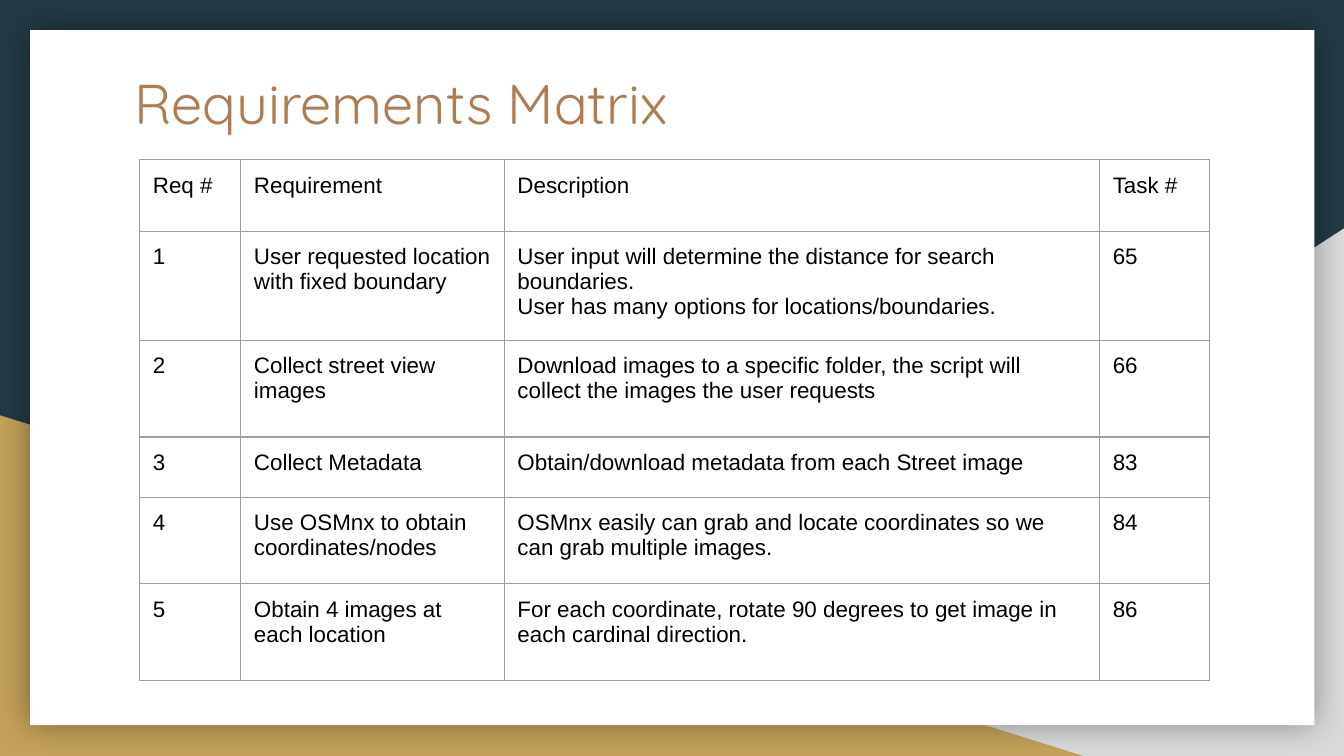
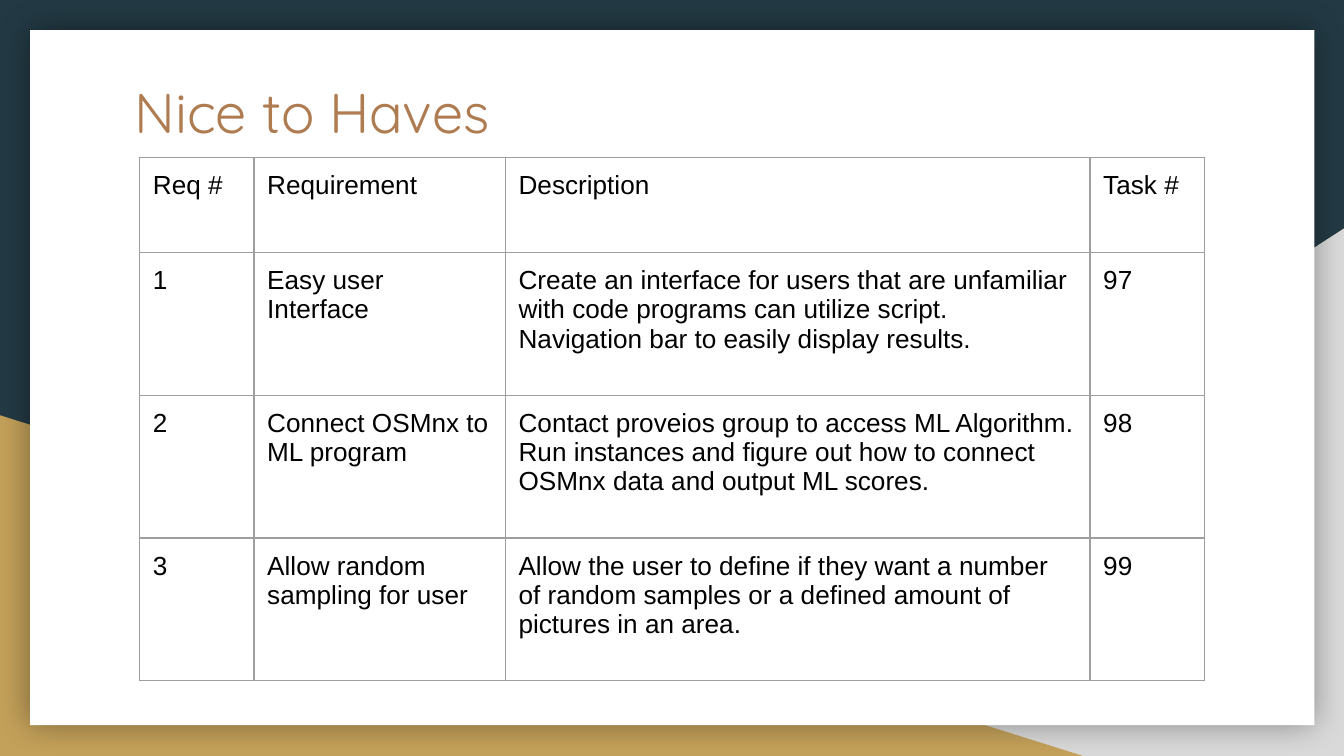
from dataclasses import dataclass
from lxml import etree
from pptx import Presentation
from pptx import util as u
from pptx.dml.color import RGBColor
from pptx.enum import shapes, text
from pptx.oxml.ns import qn


@dataclass(frozen=True)
class Theme:
    back: str = "233A44"
    grey: str = "D9D9D9"
    gold: str = "C4A15A"
    panel: str = "FFFFFF"
    title: str = "AF7B51"
    ink: str = "000000"
    rule: str = "9E9E9E"
    head: str = "Quicksand"
    body: str = "Arial"
    big: int = 30


look = Theme()
inset = u.Cm(0.25)


def add(node, tag, **attrs):
    child = etree.SubElement(node, qn(tag))
    for key, value in attrs.items():
        child.set(key, str(value))
    return child


def style(par, face, size, color):
    par.font.name = face
    par.font.size = u.Pt(size)
    par.font.color.rgb = RGBColor.from_string(color)


heads = ["Req #", "Requirement", "Description", "Task #"]
pages = [
    dict(
        title="Requirements Matrix", top=1.04, start=3.02, size=12,
        cols=[1.91, 4.98, 11.25, 2.08],
        rows=[1.35, 2.06, 1.83, 1.14, 1.63, 1.83],
        cells=[
            heads,
            ["1", "User requested location with fixed boundary",
             "User input will determine the distance for search boundaries.\n"
             "User has many options for locations/boundaries.", "65"],
            ["2", "Collect street view images",
             "Download images to a specific folder, the script will "
             "collect the images the user requests", "66"],
            ["3", "Collect Metadata",
             "Obtain/download metadata from each Street image", "83"],
            ["4", "Use OSMnx to obtain coordinates/nodes",
             "OSMnx easily can grab and locate coordinates so we "
             "can grab multiple images.", "84"],
            ["5", "Obtain 4 images at each location",
             "For each coordinate, rotate 90 degrees to get image in "
             "each cardinal direction.", "86"],
        ],
    ),
    dict(
        title="Nice to Haves", top=1.22, start=2.97, size=14,
        cols=[2.16, 4.75, 11.05, 2.16],
        rows=[1.8, 2.7, 2.7, 2.7],
        cells=[
            heads,
            ["1", "Easy user Interface",
             "Create an interface for users that are unfamiliar "
             "with code programs can utilize script.\n"
             "Navigation bar to easily display results.", "97"],
            ["2", "Connect OSMnx to ML program",
             "Contact proveios group to access ML Algorithm.\n"
             "Run instances and figure out how to connect "
             "OSMnx data and output ML scores.", "98"],
            ["3", "Allow random sampling for user",
             "Allow the user to define if they want a number "
             "of random samples or a defined amount of "
             "pictures in an area.", "99"],
        ],
    ),
]

deck = Presentation()
deck.slide_width = u.Cm(25.4)
deck.slide_height = u.Cm(14.29)
layout = deck.slide_layouts.get_by_name("Title Only")
fill = layout.background.fill
fill.solid()
fill.fore_color.rgb = RGBColor.from_string(look.back)
slides = [deck.slides.add_slide(layout) for page in pages]

kind = shapes.MSO_SHAPE
decor = [
    (kind.RIGHT_TRIANGLE, look.grey, 9.96, 4.32, 15.44, 9.97),
    (kind.RIGHT_TRIANGLE, look.gold, 0, 7.85, 20.47, 6.44),
    (kind.RECTANGLE, look.panel, 0.57, 0.57, 24.27, 13.14),
]
parts = []
for form, color, *box in decor:
    part = slides[0].shapes.add_shape(form, *map(u.Cm, box))
    part.shadow.inherit = False
    part.fill.solid()
    part.fill.fore_color.rgb = RGBColor.from_string(color)
    part.line.fill.background()
    parts.append(part)
wedge, slope, panel = parts
wedge._element.spPr.find(qn("a:xfrm")).set("flipH", "1")
glow = add(panel._element.spPr.find(qn("a:effectLst")), "a:outerShdw",
           blurRad=u.Pt(18), dist=0, dir=0, algn="ctr", rotWithShape=0)
add(add(glow, "a:srgbClr", val="000000"), "a:alpha", val=40000)
for spot, part in enumerate(parts, 2):
    layout.shapes._spTree.insert(spot, part._element)

for slide, page in zip(slides, pages):
    title = slide.shapes.title
    title.left, title.top = u.Cm(2.29), u.Cm(page["top"])
    title.width, title.height = u.Cm(20.85), u.Cm(2.64)
    frame = title.text_frame
    frame.text = page["title"]
    frame.word_wrap = True
    frame.auto_size = text.MSO_AUTO_SIZE.NONE
    frame.vertical_anchor = text.MSO_ANCHOR.TOP
    frame.margin_left = frame.margin_right = inset
    frame.margin_top = frame.margin_bottom = inset
    par = frame.paragraphs[0]
    par.alignment = text.PP_ALIGN.LEFT
    style(par, look.head, look.big, look.title)

    cols, rows = page["cols"], page["rows"]
    table = slide.shapes.add_table(
        len(rows), len(cols), u.Cm(2.64), u.Cm(page["start"]),
        u.Cm(sum(cols)), u.Cm(sum(rows))).table
    table.first_row = table.horz_banding = False
    for col, width in zip(table.columns, cols):
        col.width = u.Cm(width)
    for row, height, words in zip(table.rows, rows, page["cells"]):
        row.height = u.Cm(height)
        for cell, word in zip(row.cells, words):
            cell.text = word
            cell.margin_left = cell.margin_right = inset
            cell.margin_top = cell.margin_bottom = inset
            for par in cell.text_frame.paragraphs:
                style(par, look.body, page["size"], look.ink)
            props = cell._tc.get_or_add_tcPr()
            for side in "LRTB":
                line = add(props, "a:ln" + side, w=u.Pt(0.75))
                add(add(line, "a:solidFill"), "a:srgbClr", val=look.rule)
            cell.fill.background()

deck.save("out.pptx")
